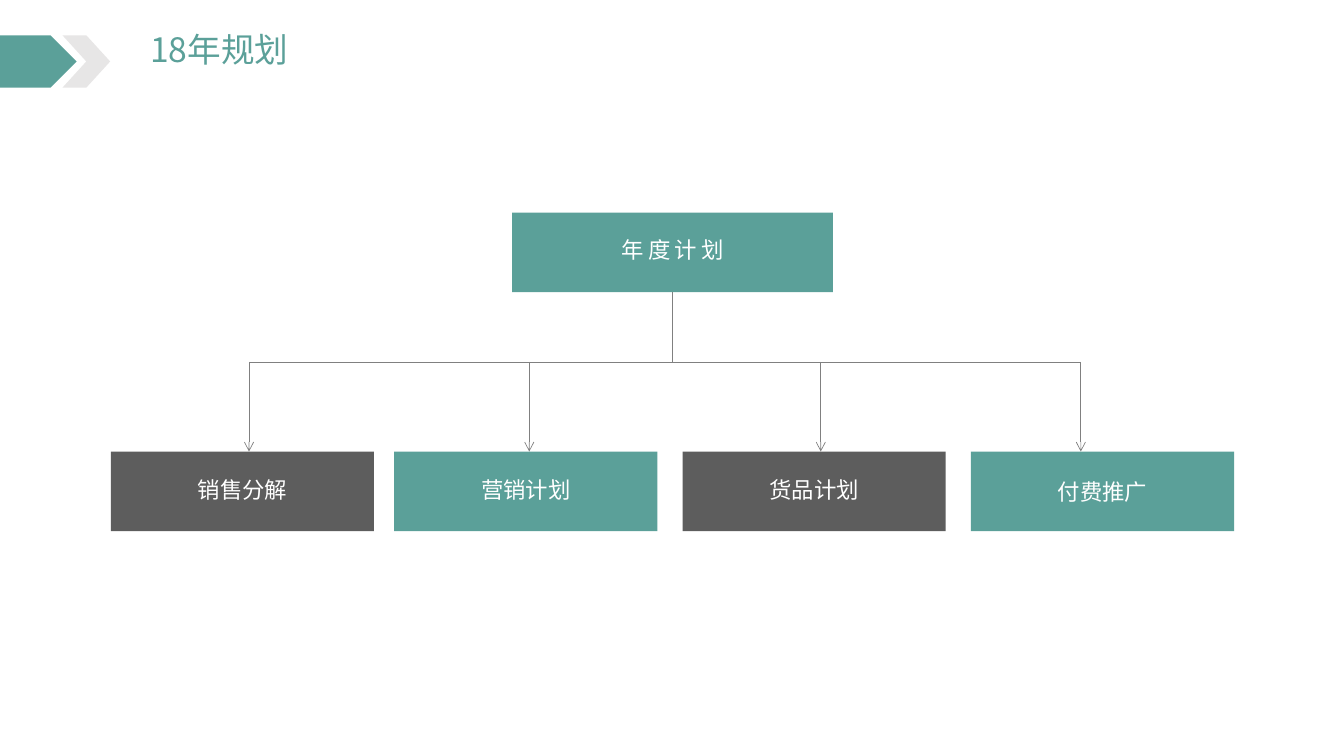
from lxml.etree import SubElement
from pptx import Presentation
from pptx.dml.color import RGBColor
from pptx.enum.shapes import MSO_CONNECTOR, MSO_SHAPE
from pptx.enum.text import MSO_ANCHOR, MSO_AUTO_SIZE, PP_ALIGN
from pptx.oxml.ns import qn
from pptx.util import Inches, Pt

FONT = "Noto Sans CJK SC"
TEAL, DARK, PALE, GRAY, WHITE = "5BA099", "5D5D5D", "E7E6E6", "808080", "FFFFFF"


def color(value):
    """Turn a hex string into a colour."""
    return RGBColor.from_string(value)


def apply(target, values):
    """Set every attribute named in a dict of format values."""
    for name, value in values.items():
        setattr(target, name, value)


class PlanSlide:
    """Draw elements on one slide, placed in percent of its width and height."""

    def __init__(self, presentation):
        """Add a slide with a title to the presentation."""
        self.width = presentation.slide_width
        self.height = presentation.slide_height
        self.slide = presentation.slides.add_slide(presentation.slide_layouts[5])

    def across(self, share):
        """Convert a percentage of the slide width."""
        return round(self.width * share / 100)

    def down(self, share):
        """Convert a percentage of the slide height."""
        return round(self.height * share / 100)

    def label(self, shape, text, size, fill, frame, paragraph_format, tracking=0):
        """Fill a shape with one styled paragraph."""
        apply(shape.text_frame, frame)
        paragraph = shape.text_frame.paragraphs[0]
        apply(paragraph, paragraph_format)
        run = paragraph.add_run()
        run.text = text
        apply(run.font, {"name": FONT, "size": Pt(size)})
        run.font.color.rgb = color(fill)
        properties = run._r.get_or_add_rPr()
        SubElement(properties, qn("a:ea"), typeface=FONT)
        if tracking:
            properties.set("spc", str(tracking * 100))

    def title(self, text, left, top, width, height):
        """Place the title placeholder and fill in the heading."""
        shape = self.slide.shapes.title
        apply(shape, {"left": self.across(left), "top": self.down(top),
                      "width": self.across(width), "height": self.down(height)})
        frame = {"word_wrap": True, "auto_size": MSO_AUTO_SIZE.NONE,
                 "vertical_anchor": MSO_ANCHOR.TOP}
        layout = {"alignment": PP_ALIGN.LEFT, "line_spacing": 0.83}
        self.label(shape, text, 24, TEAL, frame, layout)

    def shape(self, kind, left, top, width, height, fill):
        """Add a flat preset shape."""
        shape = self.slide.shapes.add_shape(
            kind, self.across(left), self.down(top), self.across(width), self.down(height))
        shape.shadow.inherit = False
        shape.fill.solid()
        shape.fill.fore_color.rgb = color(fill)
        shape.line.fill.background()
        return shape

    def box(self, text, left, top, width, height, fill, lift, tracking=0):
        """Add a labelled box whose text sits slightly above the middle."""
        shape = self.shape(MSO_SHAPE.RECTANGLE, left, top, width, height, fill)
        frame = {"word_wrap": True, "vertical_anchor": MSO_ANCHOR.MIDDLE,
                 "margin_top": 0, "margin_bottom": Inches(lift)}
        self.label(shape, text, 16, WHITE, frame, {"alignment": PP_ALIGN.CENTER}, tracking)
        return shape

    def line(self, start, end, arrow=False):
        """Add a thin straight connector, with an arrowhead if asked."""
        connector = self.slide.shapes.add_connector(
            MSO_CONNECTOR.STRAIGHT, self.across(start[0]), self.down(start[1]),
            self.across(end[0]), self.down(end[1]))
        connector.line.width = Pt(0.5)
        connector.line.color.rgb = color(GRAY)
        if arrow:
            SubElement(connector.line._get_or_add_ln(), qn("a:tailEnd"), type="arrow")
        SubElement(connector._element.spPr, qn("a:effectLst"))
        return connector


def main():
    """Build the plan chart and save it."""
    presentation = Presentation()
    apply(presentation, {"slide_width": Inches(13.33), "slide_height": Inches(7.5)})
    plan = PlanSlide(presentation)

    plan.title("18年规划", 10.43, 4, 12.08, 6.67)
    plan.shape(MSO_SHAPE.PENTAGON, 0, 4.67, 5.7, 6.93, TEAL)
    plan.shape(MSO_SHAPE.CHEVRON, 4.65, 4.67, 3.55, 6.93, PALE)

    branch_row, box_row, box_height = 47.87, 59.73, 10.53
    root_left, root_row, root_width = 38.11, 28.13, 23.86
    middle = root_left + root_width / 2
    arrows = [18.53, 39.38, 61.07, 80.42]

    plan.line((arrows[0], branch_row), (arrows[-1], branch_row))
    for column in arrows:
        plan.line((column, branch_row), (column, box_row), arrow=True)
    root = plan.box("年度计划", root_left, root_row, root_width, box_height, TEAL, 0.06, 3)
    stem = plan.line((middle, root_row + box_height), (middle, branch_row))
    stem.begin_connect(root, 2)

    branches = [("销售分解", 8.25, DARK, 0.04), ("营销计划", 29.33, TEAL, 0.04),
                ("货品计划", 50.79, DARK, 0.04), ("付费推广", 72.24, TEAL, 0)]
    for text, left, fill, lift in branches:
        plan.box(text, left, box_row, 19.58, box_height, fill, lift)

    presentation.save("out.pptx")


if __name__ == "__main__":
    main()
